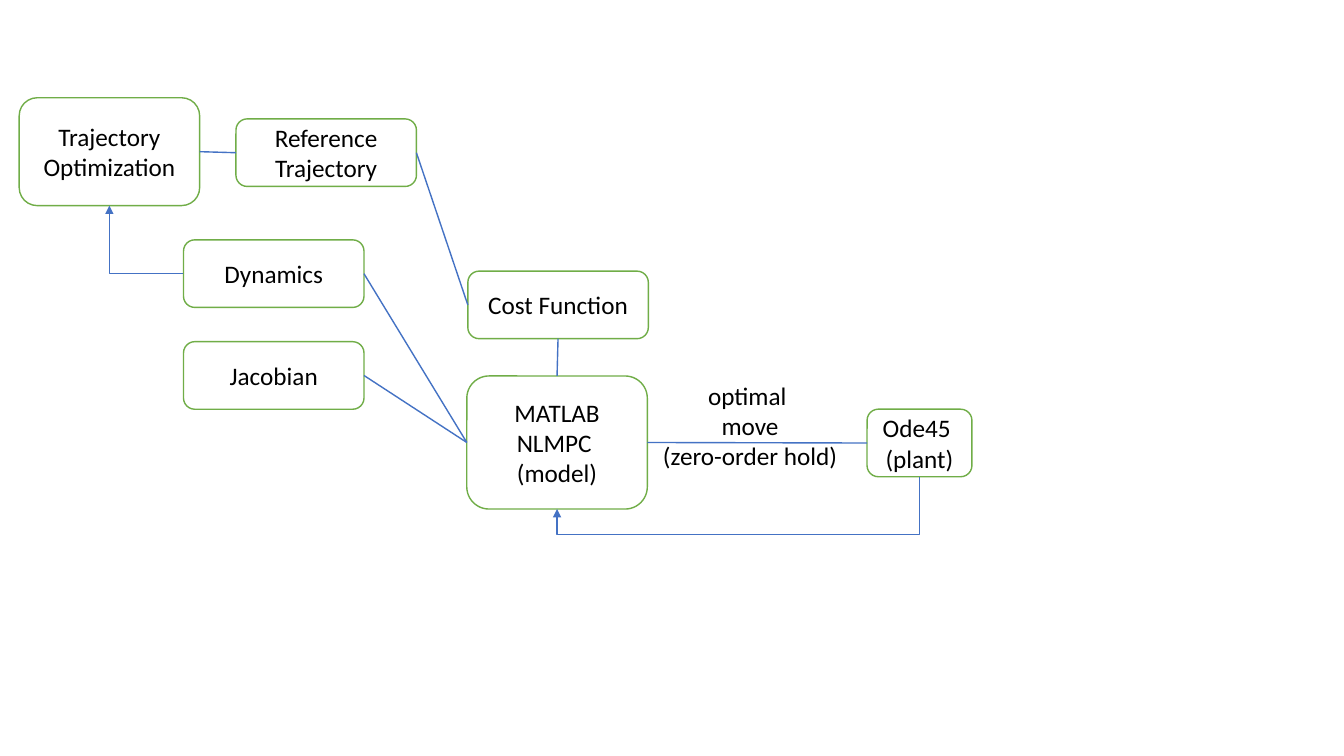
from lxml.etree import SubElement
from pptx import Presentation
from pptx.dml.color import RGBColor
from pptx.enum.shapes import MSO_CONNECTOR, MSO_SHAPE
from pptx.enum.text import MSO_ANCHOR, MSO_AUTO_SIZE, PP_ALIGN
from pptx.oxml.ns import qn
from pptx.util import Inches, Pt

WHITE = RGBColor(0xFF, 0xFF, 0xFF)
BLACK = RGBColor(0x00, 0x00, 0x00)
GREEN = RGBColor(0x70, 0xAD, 0x47)
BLUE = RGBColor(0x44, 0x72, 0xC4)
TOP, LEFT, BOTTOM, RIGHT = range(4)
BOX_WIDTH, BOX_HEIGHT = 1.79, 0.67


class ControlDiagram:
    """Draws the boxes, labels and links of a control diagram on one slide."""

    font_name = "Calibri"
    font_size = Pt(18)
    line_width = Pt(1)

    def __init__(self, slide):
        self.shapes = slide.shapes

    def set_text(self, shape, text):
        frame = shape.text_frame
        frame.text = text
        frame.word_wrap = True
        for paragraph in frame.paragraphs:
            paragraph.alignment = PP_ALIGN.CENTER
            for run in paragraph.runs:
                run.font.name = self.font_name
                run.font.size = self.font_size
                run.font.color.rgb = BLACK

    def box(self, text, left, top, width=BOX_WIDTH, height=BOX_HEIGHT):
        shape = self.shapes.add_shape(
            MSO_SHAPE.ROUNDED_RECTANGLE,
            Inches(left), Inches(top), Inches(width), Inches(height))
        shape.shadow.inherit = False
        shape.fill.solid()
        shape.fill.fore_color.rgb = WHITE
        shape.line.color.rgb = GREEN
        shape.line.width = self.line_width
        shape.text_frame.vertical_anchor = MSO_ANCHOR.MIDDLE
        self.set_text(shape, text)
        return shape

    def label(self, text, left, top, width, height):
        shape = self.shapes.add_textbox(
            Inches(left), Inches(top), Inches(width), Inches(height))
        self.set_text(shape, text)
        shape.text_frame.auto_size = MSO_AUTO_SIZE.SHAPE_TO_FIT_TEXT

    def connector(self, kind, left=0, top=0, right=0, bottom=0, arrow=False):
        connector = self.shapes.add_connector(kind, left, top, right, bottom)
        connector.line.color.rgb = BLUE
        connector.line.width = self.line_width
        properties = connector._element.spPr
        if arrow:
            SubElement(properties.find(qn("a:ln")), qn("a:tailEnd"), type="triangle")
        SubElement(properties, qn("a:effectLst"))
        return connector

    def link(self, start, start_side, end, end_side):
        connector = self.connector(MSO_CONNECTOR.STRAIGHT)
        connector.begin_connect(start, start_side)
        connector.end_connect(end, end_side)

    def corner_arrow(self, start, end):
        connector = self.connector(MSO_CONNECTOR.ELBOW, arrow=True)
        connector.begin_connect(start, LEFT)
        connector.end_connect(end, BOTTOM)
        connector._element.spPr.find(qn("a:prstGeom")).set("prst", "bentConnector2")

    def feedback_arrow(self, start, end, drop):
        start_x, end_x = (box.left + box.width // 2 for box in (start, end))
        start_y, end_y = (box.top + box.height for box in (start, end))
        across, down = start_x - end_x, end_y - start_y
        left = (start_x + end_x - down) // 2
        top = (start_y + end_y - across) // 2
        connector = self.connector(
            MSO_CONNECTOR.ELBOW, left, top, left + down, top + across, arrow=True)
        properties = connector._element.spPr
        properties.find(qn("a:xfrm")).set("rot", str(90 * 60000))
        guides = properties.find(qn("a:prstGeom")).get_or_add_avLst()
        bend = round(100000 * (down + Inches(drop)) / down)
        SubElement(guides, qn("a:gd"), name="adj1", fmla=f"val {bend}")


def main():
    presentation = Presentation()
    presentation.slide_width = Inches(13.33)
    presentation.slide_height = Inches(7.5)
    slide = presentation.slides.add_slide(presentation.slide_layouts[6])
    diagram = ControlDiagram(slide)

    reference = diagram.box("Reference Trajectory", 2.34, 1.18)
    model = diagram.box("MATLAB\nNLMPC \n(model)", 4.63, 3.73, height=1.32)
    dynamics = diagram.box("Dynamics", 1.82, 2.38)
    jacobian = diagram.box("Jacobian", 1.82, 3.39)
    optimization = diagram.box("Trajectory Optimization", 0.19, 0.97, height=1.07)
    plant = diagram.box("Ode45 \n(plant)", 8.6, 4.06, width=1.04)
    cost = diagram.box("Cost Function", 4.64, 2.69)

    diagram.link(optimization, RIGHT, reference, LEFT)
    diagram.link(reference, RIGHT, cost, LEFT)
    diagram.link(dynamics, RIGHT, model, LEFT)
    diagram.link(jacobian, RIGHT, model, LEFT)
    diagram.link(model, RIGHT, plant, LEFT)
    diagram.link(cost, BOTTOM, model, TOP)
    diagram.label("optimal \nmove\n(zero-order hold)", 6.41, 3.72, 2.06, 1.01)
    diagram.feedback_arrow(plant, model, drop=0.25)
    diagram.corner_arrow(dynamics, optimization)

    presentation.save("out.pptx")


if __name__ == "__main__":
    main()
